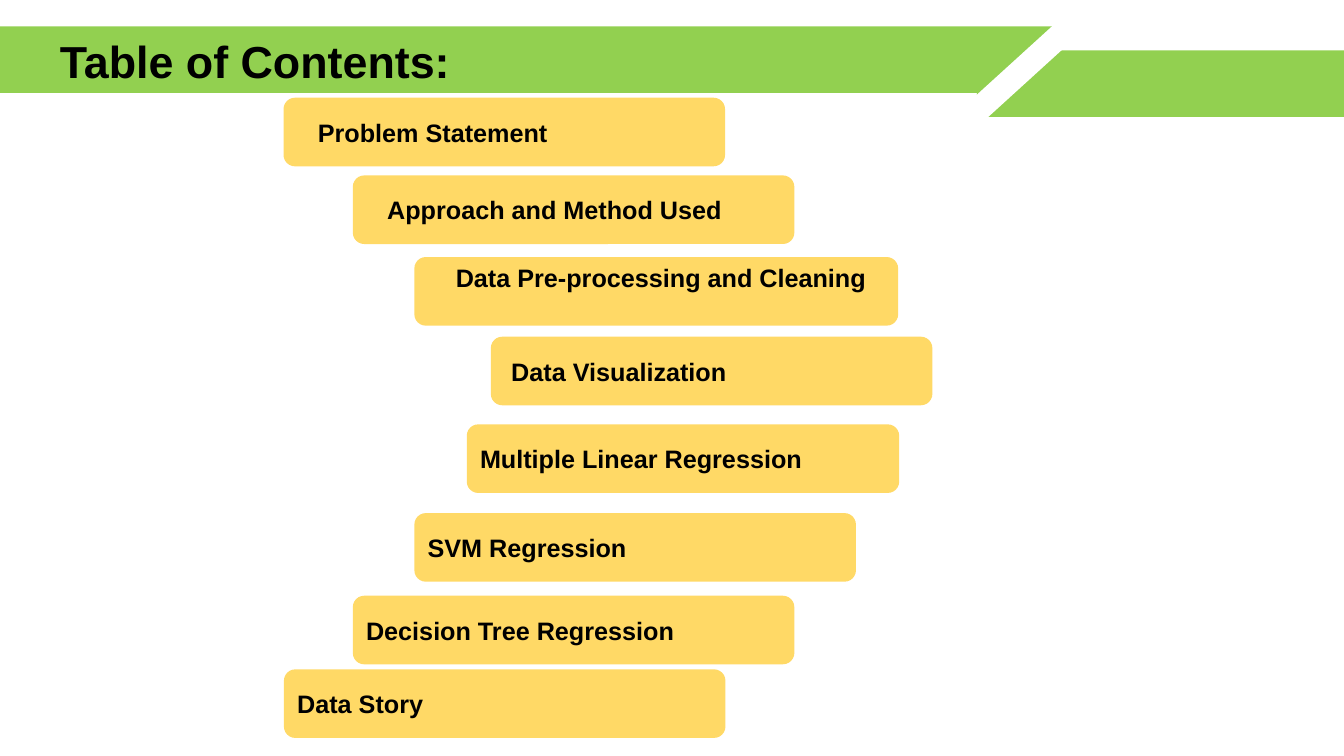
from pptx import Presentation
from pptx.util import Pt
from pptx.dml.color import RGBColor
from pptx.enum.shapes import MSO_SHAPE as Kind
from pptx.enum.text import MSO_ANCHOR as Anchor, PP_ALIGN as Align

GREEN, GOLD, WHITE, BLACK = "92D050", "FFD966", "FFFFFF", "000000"


def paint(shape, tone):
    shape.fill.solid()
    shape.fill.fore_color.rgb = RGBColor.from_string(tone)
    shape.line.fill.background()


def write(shape, text, size, left, anchor):
    frame = shape.text_frame
    frame.word_wrap = True
    frame.vertical_anchor = anchor
    frame.margin_left = Pt(left)
    para = frame.paragraphs[0]
    para.alignment = Align.LEFT
    run = para.add_run()
    run.text = text
    run.font.name = "Arial"
    run.font.size = Pt(size)
    run.font.bold = True
    run.font.color.rgb = RGBColor.from_string(BLACK)
    return para


deck = Presentation()
deck.slide_width, deck.slide_height = Pt(960), Pt(540)
slide = deck.slides.add_slide(deck.slide_layouts[5])

# Title on the left green band
title = slide.shapes.title
title.left, title.top, title.width, title.height = Pt(0), Pt(18.9), Pt(756), Pt(47.5)
paint(title, GREEN)
write(title, "Table of Contents:", 32, 42.8, Anchor.BOTTOM).line_spacing = 0.9

# Right green band and the slanted white gap
for x, y, wide, high, turn, tone in [
    (697.7, 36, 262.3, 47.5, 0, GREEN),
    (670.3, 43.2, 115.2, 17.3, 137.7, WHITE),
]:
    band = slide.shapes.add_shape(Kind.RECTANGLE, Pt(x), Pt(y), Pt(wide), Pt(high))
    band.shadow.inherit = False
    band.rotation = turn
    paint(band, tone)

# Topics: text, left, top, width, text inset
topics = [
    ("Problem Statement", 202.5, 69.8, 315.4, 22.2),
    ("Approach and Method Used", 252, 125.3, 315.4, 22.2),
    ("Data Pre-processing and Cleaning", 296, 183.6, 345.6, 27.2),
    ("Data Visualization", 350.6, 240.5, 315.4, 12.2),
    ("Multiple Linear Regression", 333.4, 303.1, 308.9, 7.2),
    ("SVM Regression", 296, 366.5, 315.4, 7.2),
    ("Decision Tree Regression", 252, 425.5, 315.4, 7.2),
    ("Data Story", 202.8, 478.1, 315.4, 7.2),
]
for text, x, y, wide, inset in topics:
    box = slide.shapes.add_shape(Kind.ROUNDED_RECTANGLE, Pt(x), Pt(y), Pt(wide), Pt(49))
    box.shadow.inherit = False
    paint(box, GOLD)
    high_text = "Cleaning" in text
    write(box, text, 18, inset, Anchor.TOP if high_text else Anchor.MIDDLE)
    if high_text:
        box.text_frame.margin_top = Pt(1.2)

deck.save("out.pptx")
